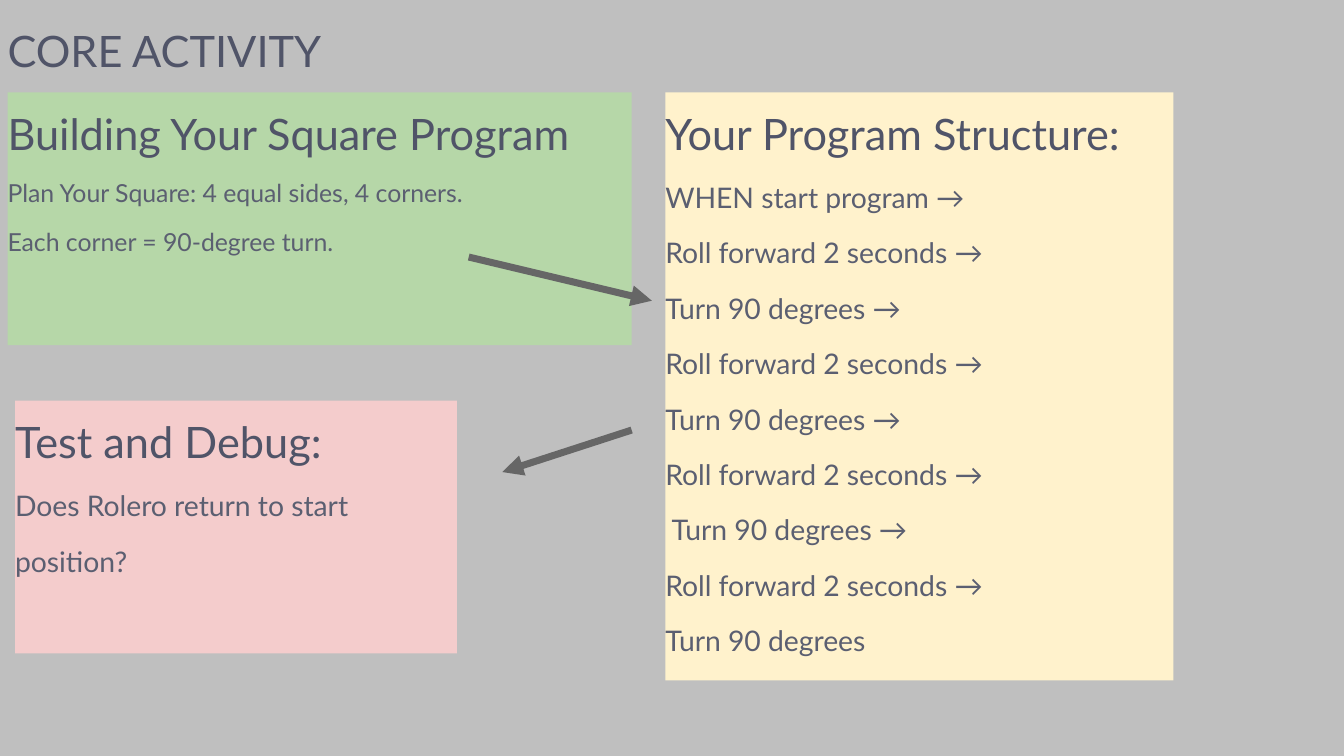
from dataclasses import dataclass

import pptx
import pptx.dml.color
import pptx.enum.shapes
import pptx.enum.text
import pptx.oxml.ns
import pptx.oxml.xmlchemy
import pptx.util
from lxml import etree

Inches = pptx.util.Inches
Pt = pptx.util.Pt


@dataclass(frozen=True)
class Theme:
    font: str = "Lato"
    background: str = "BFBFBF"
    heading: str = "505468"
    body: str = "5B5F71"
    arrow: str = "666666"
    green: str = "B6D7A8"
    yellow: str = "FFF2CC"
    pink: str = "F4CCCC"
    heading_size: float = 37.1
    body_size: float = 24.3
    small_size: float = 21.3
    heading_spacing: float = 1.28
    body_spacing: float = 1.63
    arrow_width: float = 6


@dataclass(frozen=True)
class Panel:
    left: float
    top: float
    width: float
    height: float
    fill: str
    heading: str
    lines: list[str]
    size: float


@dataclass(frozen=True)
class Arrow:
    start: tuple[float, float]
    end: tuple[float, float]


THEME = Theme()
ROLL = "Roll forward 2 seconds →"
TURN = "Turn 90 degrees →"

PANELS = [
    Panel(0.09, 1.1, 7.43, 3.01, THEME.green, "Building Your Square Program",
          ["Plan Your Square: 4 equal sides, 4 corners.",
           "Each corner = 90-degree turn."], THEME.small_size),
    Panel(7.92, 1.1, 6.05, 7, THEME.yellow, "Your Program Structure:",
          ["WHEN start program →", ROLL, TURN, ROLL, TURN, ROLL, " " + TURN,
           ROLL, "Turn 90 degrees"], THEME.body_size),
    Panel(0.18, 4.77, 5.26, 3.01, THEME.pink, "Test and Debug:",
          ["Does Rolero return to start position?"], THEME.body_size),
]

ARROWS = [
    Arrow((5.58, 3.06), (7.76, 3.58)),
    Arrow((7.52, 5.12), (5.98, 5.62)),
]


def rgb(value: str) -> pptx.dml.color.RGBColor:
    return pptx.dml.color.RGBColor.from_string(value)


def prepare_frame(tf) -> None:
    tf.margin_left = tf.margin_top = tf.margin_right = tf.margin_bottom = 0
    tf.word_wrap = True
    tf.auto_size = pptx.enum.text.MSO_AUTO_SIZE.NONE
    tf.vertical_anchor = pptx.enum.text.MSO_ANCHOR.TOP


def write(p, text: str, size: float, color: str, spacing: float) -> None:
    p.alignment = pptx.enum.text.PP_ALIGN.LEFT
    p.line_spacing = spacing
    r = p.add_run()
    r.text = text
    r.font.name = THEME.font
    r.font.size = Pt(size)
    r.font.color.rgb = rgb(color)


def write_heading(tf, text: str) -> None:
    prepare_frame(tf)
    write(tf.paragraphs[0], text, THEME.heading_size, THEME.heading,
          THEME.heading_spacing)


def add_title(s, text: str) -> None:
    sp = s.shapes.title
    sp.left, sp.top = Inches(0.09), Inches(0.11)
    sp.width, sp.height = Inches(5.26), Inches(0.66)
    write_heading(sp.text_frame, text)


def add_panel(s, panel: Panel) -> None:
    sp = s.shapes.add_shape(
        pptx.enum.shapes.MSO_SHAPE.RECTANGLE, Inches(panel.left),
        Inches(panel.top), Inches(panel.width), Inches(panel.height))
    sp.shadow.inherit = False
    sp.fill.solid()
    sp.fill.fore_color.rgb = rgb(panel.fill)
    sp.line.fill.background()
    tf = sp.text_frame
    write_heading(tf, panel.heading)
    for line in panel.lines:
        write(tf.add_paragraph(), line, panel.size, THEME.body,
              THEME.body_spacing)


def add_arrow(s, arrow: Arrow) -> None:
    sp = s.shapes.add_connector(
        pptx.enum.shapes.MSO_CONNECTOR.STRAIGHT,
        *map(Inches, arrow.start + arrow.end))
    sp.line.color.rgb = rgb(THEME.arrow)
    sp.line.width = Pt(THEME.arrow_width)
    qn = pptx.oxml.ns.qn
    etree.SubElement(sp.line._get_or_add_ln(), qn("a:tailEnd"), type="triangle")
    etree.SubElement(sp._element.spPr, qn("a:effectLst"))


def main() -> None:
    prs = pptx.Presentation()
    prs.slide_width, prs.slide_height = Inches(16), Inches(9)
    s = prs.slides.add_slide(prs.slide_layouts.get_by_name("Title Only"))

    # Background and title
    s.background.fill.solid()
    s.background.fill.fore_color.rgb = rgb(THEME.background)
    add_title(s, "CORE ACTIVITY")

    # Text panels
    for panel in PANELS:
        add_panel(s, panel)

    # Arrows between the steps
    for arrow in ARROWS:
        add_arrow(s, arrow)

    prs.save("out.pptx")


if __name__ == "__main__":
    main()
